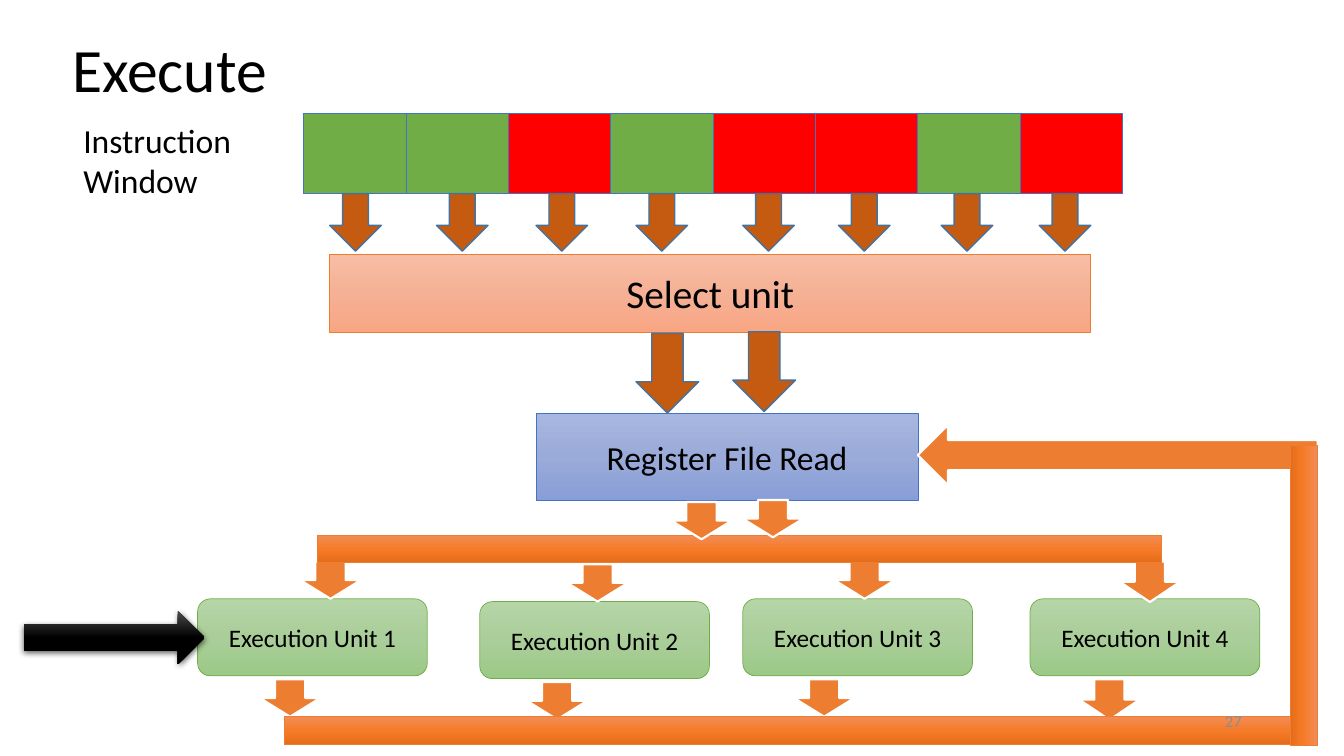
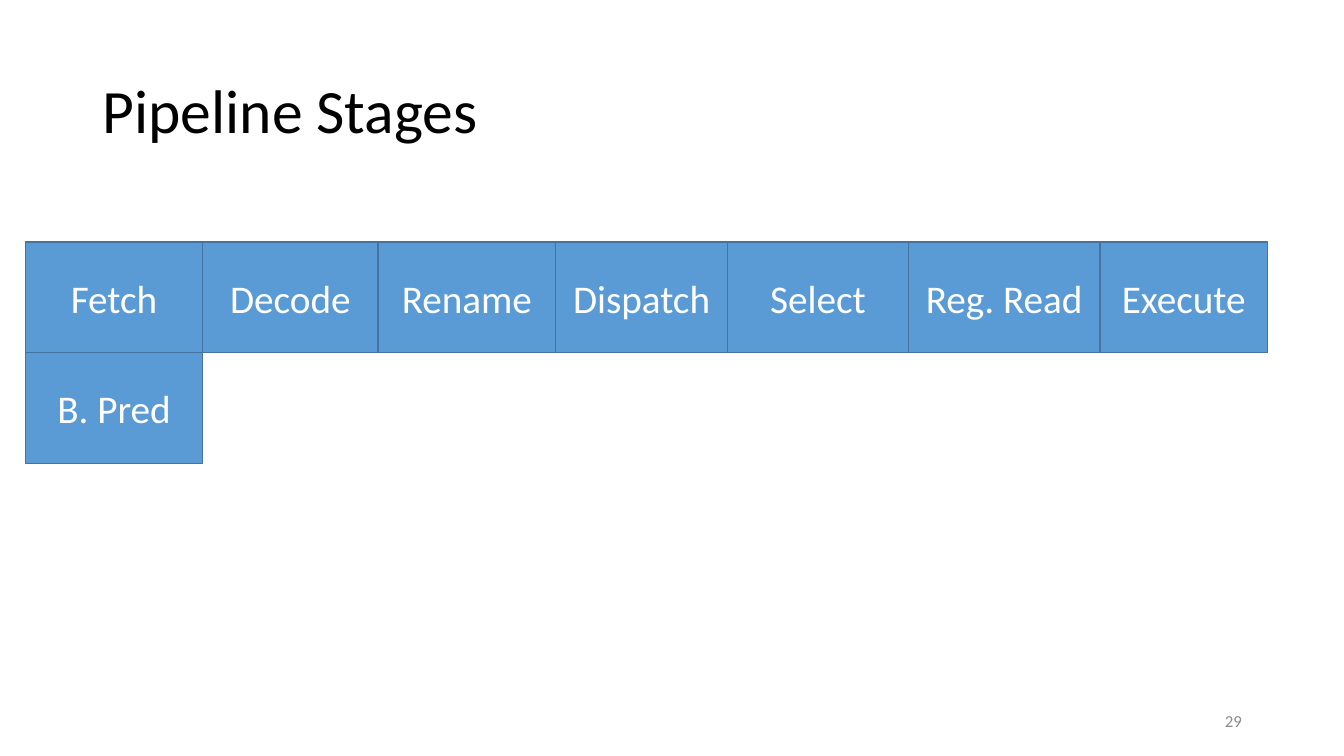
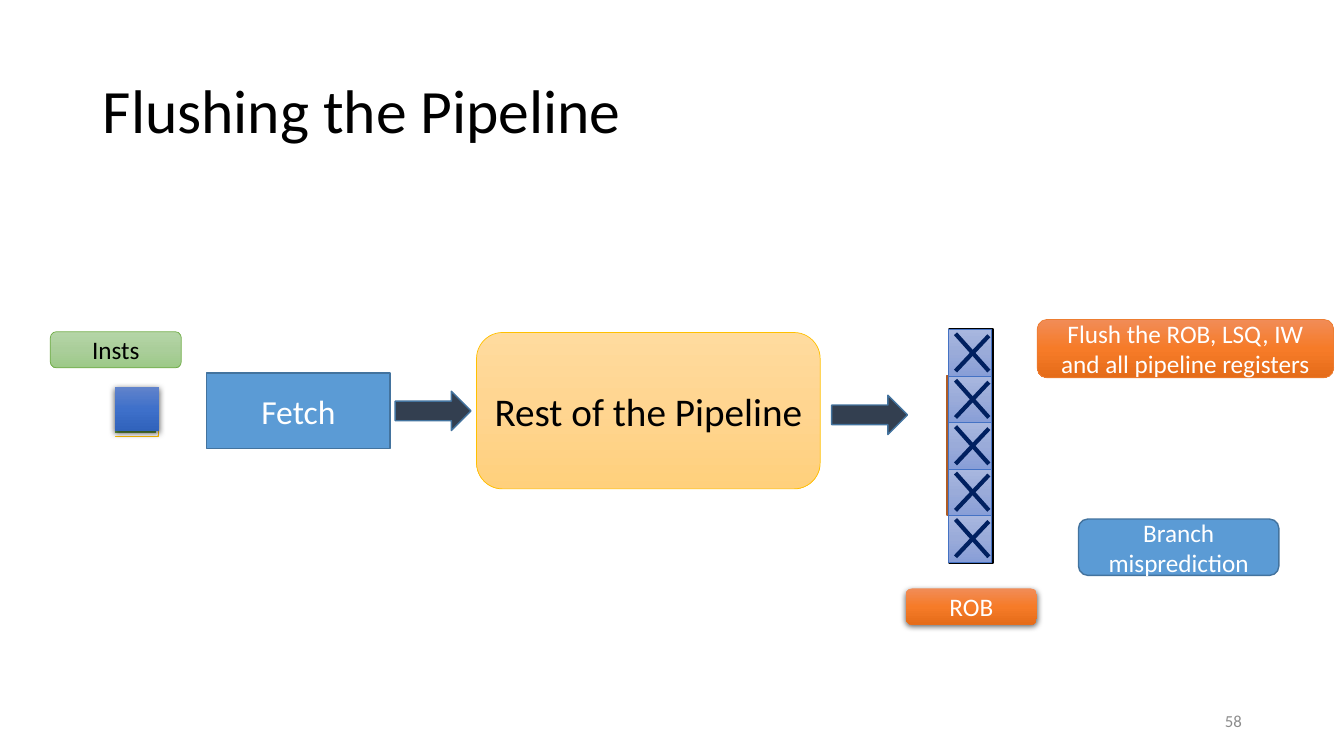
from itertools import accumulate

from lxml import etree
from pptx import Presentation
from pptx.dml.color import RGBColor
from pptx.enum.shapes import MSO_CONNECTOR, MSO_SHAPE
from pptx.enum.text import MSO_ANCHOR, PP_ALIGN
from pptx.oxml.ns import qn
from pptx.util import Cm, Pt

RECT, ROUND = MSO_SHAPE.RECTANGLE, MSO_SHAPE.ROUNDED_RECTANGLE
DOWN, LEFT_ARROW, RIGHT_ARROW = MSO_SHAPE.DOWN_ARROW, MSO_SHAPE.LEFT_ARROW, MSO_SHAPE.RIGHT_ARROW
STRAIGHT = MSO_CONNECTOR.STRAIGHT
TOP, MIDDLE = MSO_ANCHOR.TOP, MSO_ANCHOR.MIDDLE
LEFT, CENTER, RIGHT = PP_ALIGN.LEFT, PP_ALIGN.CENTER, PP_ALIGN.RIGHT

# Shared look
FONT = "Calibri"
COLORS = {
    "black": "000000", "white": "FFFFFF", "grey": "8C8C8C", "navy": "002060",
    "blue": "5B9BD5", "blue edge": "43739E", "indigo": "4472C4", "slate": "333F50",
    "green": "70AD47", "red": "FF0000", "gold": "FFC000",
    "orange": "ED7D31", "orange edge": "AF5C24", "rust": "C55A11",
}
GRADIENTS = {
    "peach": ("F7BDA5", "F5B196", "F8A582"),
    "lavender": ("A8B7DF", "9AABD9", "889ED7"),
    "mint": ("B5D5A7", "AACE9A", "9CC987"),
    "flame": ("F18C57", "F67B28", "E56C19"),
    "amber": ("FFDB9E", "FFD590", "FFD07C"),
    "royal": ("6183CB", "3E70CA", "3062BB"),
    "coal": ("4B4B4B", "000000", "000000"),
}
# style: fill, line colour, line width, text colour, shadow
STYLES = {
    "ready": ("green", "indigo", 0.5, "black", False),
    "waiting": ("red", "indigo", 0.5, "black", False),
    "select": ("peach", "orange", 0.5, "black", False),
    "register": ("lavender", "indigo", 0.5, "black", False),
    "unit": ("mint", "green", 0.5, "black", False),
    "bus": ("flame", "orange", 0.5, "white", False),
    "issue": ("rust", "blue edge", 1, "white", False),
    "flow": ("orange", "white", 1.5, "white", False),
    "input": ("coal", None, 0, "white", True),
    "stage": ("blue", "blue edge", 1, "white", False),
    "rest": ("amber", "gold", 0.5, "black", False),
    "link": ("slate", "blue edge", 1, "white", False),
    "green inst": ("green", "white", 1.5, "white", False),
    "blue inst": ("royal", None, 0, "white", True),
    "rob": ("flame", None, 0, "white", True),
    "frame": (None, "black", 1.5, "black", False),
    "rob edge": ("orange", "orange edge", 1, "white", False),
}

# Execute: content, lengths in cm
WINDOW = ["ready", "ready", "waiting", "ready", "waiting", "waiting", "ready", "waiting"]
WINDOW_ARROWS = [8.31, 11, 13.51, 16.03, 18.72, 21.13, 23.72, 26.19]
SELECT_ARROWS = [(16.03, 8.4), (18.47, 8.36)]
REGISTER_ARROWS = [(16.92, 12.65), (18.72, 12.6)]
# name, left, arrow left, drop below the row, arrow height
UNITS = [
    ("Execution Unit 1", 4.98, 7.57, 0, 0.94),
    ("Execution Unit 2", 12.09, 14.3, 0.07, 0.94),
    ("Execution Unit 3", 18.72, 21.03, 0, 0.94),
    ("Execution Unit 4", 25.96, 28.22, 0, 1.02),
]

# Pipeline Stages: name and width
STAGES = [("Fetch", 4.47), ("Decode", 4.42), ("Rename", 4.47), ("Dispatch", 4.34),
          ("Select", 4.55), ("Reg. Read", 4.83), ("Execute", 4.22)]

# Flushing the Pipeline: shape, style, box, lines of text, size
FLUSH_PARTS = [
    (RECT, "stage", (5.21, 9.4, 4.62, 1.9), ["Fetch"], 24),
    (ROUND, "rest", (12.01, 8.38, 8.66, 3.94), ["Rest of the Pipeline"], 28),
    (RIGHT_ARROW, "link", (9.96, 9.86, 1.91, 0.99), [], 18),
    (RIGHT_ARROW, "link", (20.96, 9.96, 1.91, 0.99), [], 18),
    (RECT, "rest", (2.9, 9.83, 1.09, 1.17), [], 18),
    (RECT, "green inst", (2.87, 9.78, 1.09, 1.17), [], 18),
    (RECT, "blue inst", (2.9, 9.75, 1.12, 1.12), [], 18),
    (ROUND, "rob", (22.83, 14.83, 3.3, 0.91), ["ROB"], 18),
    (ROUND, "unit", (1.27, 8.36, 3.3, 0.91), ["Insts"], 18),
    (ROUND, "stage", (27.18, 13.08, 5.05, 1.42), ["Branch misprediction"], 18),
    (ROUND, "bus", (26.14, 8.05, 7.47, 1.47),
     ["Flush the ROB, LSQ, IW", "and all pipeline registers"], 18),
    (RECT, "frame", (23.93, 8.28, 1.09, 5.92), [], 18),
    (RECT, "rob edge", (23.87, 9.47, 1.09, 3.51), [], 18),
]
ROB_CELLS, ROB_LEFT, ROB_TOP, CELL_W, CELL_H = 5, 23.9, 8.31, 1.09, 1.17


def rgb(name):
    return RGBColor.from_string(COLORS[name])


def write(shape, lines, size, color, align, anchor=MIDDLE, wrap=True, spacing=None):
    frame = shape.text_frame
    frame.word_wrap = wrap
    frame.vertical_anchor = anchor
    for index, line in enumerate(lines):
        para = frame.add_paragraph() if index else frame.paragraphs[0]
        para.text = line
        para.alignment = align
        para.line_spacing = spacing
        para.font.name, para.font.size = FONT, Pt(size)
        para.font.color.rgb = rgb(color)


def add_text(page, box, lines, size, color="black", align=LEFT, **options):
    shape = page.shapes.add_textbox(*map(Cm, box))
    write(shape, lines, size, color, align, **options)


def paint(shape, fill):
    if fill is None:
        shape.fill.background()
    elif fill in GRADIENTS:
        shape.fill.gradient()
        shape.fill.gradient_angle = 270
        stops = shape._element.spPr.find(qn("a:gradFill")).find(qn("a:gsLst"))
        for stop in list(stops):
            stops.remove(stop)
        for position, color in zip((0, 50000, 100000), GRADIENTS[fill]):
            stop = etree.SubElement(stops, qn("a:gs"), pos=str(position))
            etree.SubElement(stop, qn("a:srgbClr"), val=color)
    else:
        shape.fill.solid()
        shape.fill.fore_color.rgb = rgb(fill)


def add_part(page, kind, style, box, lines=(), size=18):
    fill, line, width, text_color, shadow = STYLES[style]
    shape = page.shapes.add_shape(kind, *map(Cm, box))
    paint(shape, fill)
    if line:
        shape.line.color.rgb = rgb(line)
        shape.line.width = Pt(width)
    else:
        shape.line.fill.background()
    shape.shadow.inherit = False
    if shadow:
        effects = shape._element.spPr.find(qn("a:effectLst"))
        outer = etree.SubElement(effects, qn("a:outerShdw"), blurRad="57150", dist="19050",
                                 dir="5400000", algn="ctr", rotWithShape="0")
        tint = etree.SubElement(outer, qn("a:srgbClr"), val=COLORS["black"])
        etree.SubElement(tint, qn("a:alpha"), val="63000")
    write(shape, lines, size, text_color, CENTER)
    return shape


def add_stroke(page, start, end):
    stroke = page.shapes.add_connector(STRAIGHT, *map(Cm, start + end))
    stroke.line.color.rgb = rgb("navy")
    stroke.line.width = Pt(3)
    etree.SubElement(stroke._element.spPr, qn("a:effectLst"))


def add_page(deck, title, left=2.34, top=1.02):
    page = deck.slides.add_slide(deck.slide_layouts[6])
    add_text(page, (left, top, 29.21, 3.68), [title], 44, spacing=0.9)
    return page


def add_number(page, number):
    add_text(page, (23.93, 17.65, 7.62, 1.02), [number], 12, "grey", RIGHT)


def build_execute(deck):
    page = add_page(deck, "Execute", 1.57, 0)
    add_text(page, (1.85, 2.9, 4.47, 2.31), ["Instruction", "Window"], 24, anchor=TOP, wrap=False)

    # Instruction window feeding the select unit
    for index, state in enumerate(WINDOW):
        add_part(page, RECT, state, (7.65 + index * 2.58, 2.87, 2.58, 2.01))
    add_part(page, RECT, "select", (8.31, 6.4, 19.18, 1.98), ["Select unit"], 28)
    for left in WINDOW_ARROWS:
        add_part(page, DOWN, "issue", (left, 4.88, 1.3, 1.45))

    # Register file
    for left, top in SELECT_ARROWS:
        add_part(page, DOWN, "issue", (left, top, 1.58, 2.01))
    add_part(page, RECT, "register", (13.51, 10.41, 9.63, 2.21), ["Register File Read"], 24)

    # Execution units, each with an arrow in and an arrow out
    for name, left, arrow_left, drop, height in UNITS:
        add_part(page, ROUND, "unit", (left, 15.09 + drop, 5.79, 1.94), [name])
        add_part(page, DOWN, "flow", (arrow_left, 14.15 + drop, 1.52, height))
        add_part(page, DOWN, "flow", (arrow_left - 1.02, 17.12 + drop, 1.52, height))
    add_part(page, RECT, "bus", (8, 13.49, 21.26, 0.69))
    for left, top in REGISTER_ARROWS:
        add_part(page, DOWN, "flow", (left, top, 1.52, 0.94))
    add_part(page, RIGHT_ARROW, "input", (0.61, 15.39, 4.55, 1.35))

    # Results returning to the register file
    add_part(page, RECT, "bus", (7.16, 18.06, 26.04, 0.71))
    add_part(page, LEFT_ARROW, "flow", (23.13, 10.71, 10.08, 1.52))
    riser = add_part(page, RECT, "bus", (29.08, 14.66, 7.54, 0.69))
    riser.rotation = 90
    add_number(page, "27")


def build_stages(deck):
    page = add_page(deck, "Pipeline Stages")
    left, top, height = 0.64, 6.1, 2.79
    lefts = accumulate((width for _, width in STAGES), initial=left)
    for (name, width), stage_left in zip(STAGES, lefts):
        add_part(page, RECT, "stage", (stage_left, top, width, height), [name], 28)
    add_part(page, RECT, "stage", (left, top + height, STAGES[0][1], height), ["B. Pred"], 28)
    add_number(page, "29")


def build_flush(deck):
    page = add_page(deck, "Flushing the Pipeline")
    for part in FLUSH_PARTS:
        add_part(page, *part)

    # Crossed-out reorder buffer entries
    near, far = ROB_LEFT + 0.18, ROB_LEFT + 1.02
    for index in range(ROB_CELLS):
        top = ROB_TOP + index * CELL_H
        add_part(page, RECT, "register", (ROB_LEFT, top, CELL_W, CELL_H))
        add_stroke(page, (near, top + 0.1), (far, top + 1.04))
        add_stroke(page, (far, top + 0.15), (near, top + 1.04))
    add_number(page, "58")


def main():
    deck = Presentation()
    deck.slide_width, deck.slide_height = Cm(33.87), Cm(19.05)
    for build in (build_execute, build_stages, build_flush):
        build(deck)
    deck.save("out.pptx")


if __name__ == "__main__":
    main()
